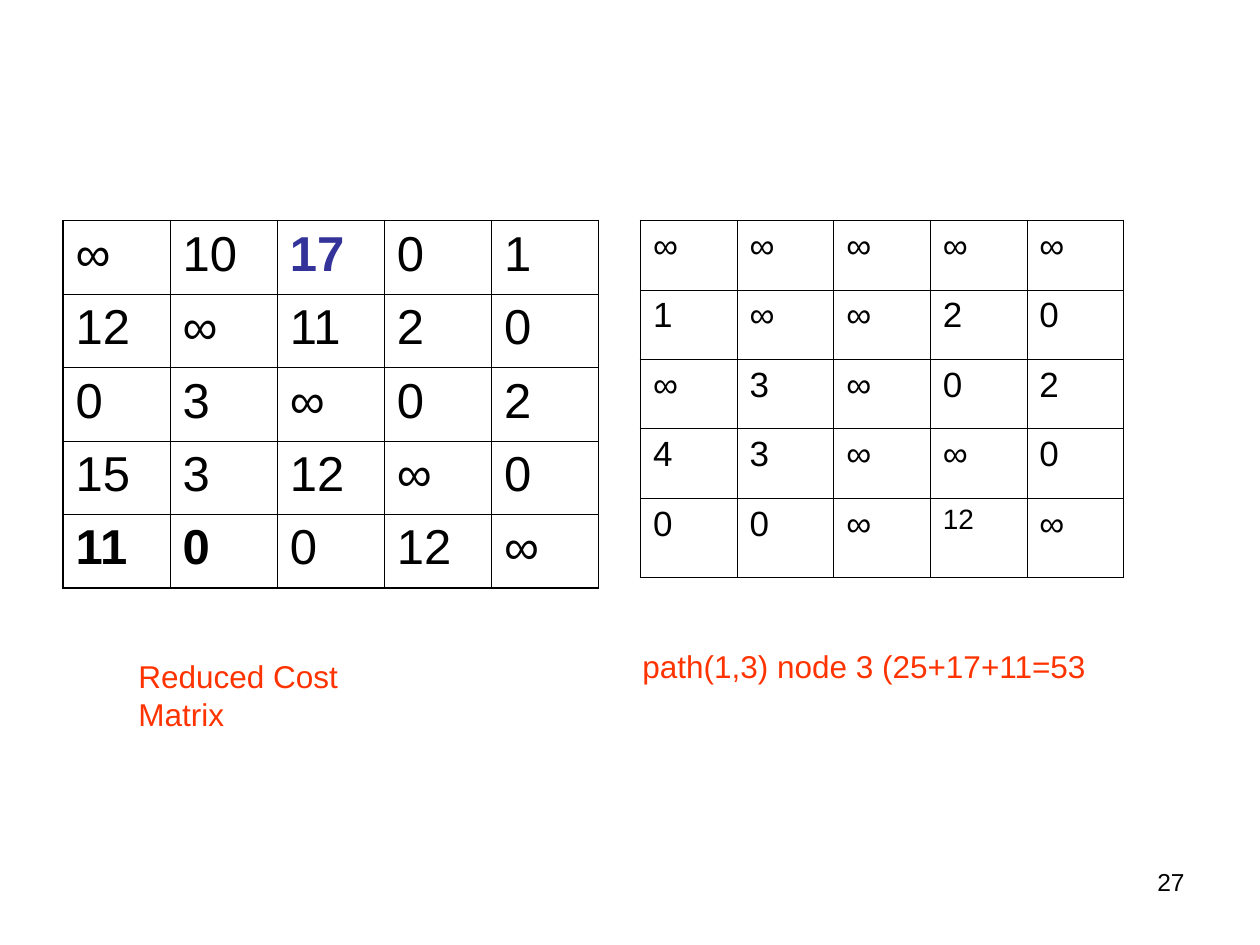
"""Build a slide with a reduced cost matrix beside the matrix for path (1,3)."""
from dataclasses import dataclass, field

from lxml.etree import SubElement
from pptx import Presentation
from pptx.dml.color import RGBColor as Rgb
from pptx.enum.text import MSO_AUTO_SIZE as AutoSize, PP_ALIGN as Align
from pptx.oxml.ns import qn
from pptx.slide import Slide
from pptx.util import Pt

COLORS = {"ink": "000000", "chosen": "333399", "caption": "FF3300"}
FONT = "Arial"
INNER_LINE, OUTER_LINE = 0.45, 1.08


@dataclass
class CellStyle:
    size: float
    bold: bool = False
    color: str = "ink"


@dataclass
class Matrix:
    left: float
    top: float
    column_width: float
    row_heights: list[float]
    rows: list[str]
    style: CellStyle
    special: dict[tuple[int, int], CellStyle] = field(default_factory=dict)


@dataclass
class Label:
    text: str
    left: float
    top: float
    width: float
    height: float
    size: float
    color: str
    align: Align = Align.LEFT
    wrap: bool = False


MATRICES = [
    Matrix(36, 126, 61.2, [42] * 5,
           ["∞ 10 17 0 1", "12 ∞ 11 2 0", "0 3 ∞ 0 2", "15 3 12 ∞ 0", "11 0 0 12 ∞"],
           CellStyle(28),
           {(0, 2): CellStyle(28, True, "chosen"),
            (4, 0): CellStyle(28, True),
            (4, 1): CellStyle(28, True)}),
    Matrix(366, 126, 55.2, [39.7] * 4 + [45.2],
           ["∞ ∞ ∞ ∞ ∞", "1 ∞ ∞ 2 0", "∞ 3 ∞ 0 2", "4 3 ∞ ∞ 0", "0 0 ∞ 12 ∞"],
           CellStyle(20),
           {(4, 3): CellStyle(16)}),
]
LABELS = [
    Label("Reduced Cost Matrix", 72, 372, 182, 29, 18, "caption"),
    Label("path(1,3) node 3 (25+17+11=53", 360, 366, 269, 29, 18, "caption"),
    Label("27", 516, 492, 168, 37.5, 14, "ink", Align.RIGHT, True),
]


def format_paragraph(para, size: float, color: str, bold: bool = False) -> None:
    """Set the font of a whole paragraph."""
    para.font.name = FONT
    para.font.size = Pt(size)
    para.font.bold = bold
    para.font.color.rgb = Rgb.from_string(COLORS[color])


def add_borders(cell, outer_edges: dict[str, bool]) -> None:
    """Draw the four cell borders, heavier where the edge is on the outside."""
    properties = cell._tc.get_or_add_tcPr()
    for edge, is_outer in outer_edges.items():
        width = Pt(OUTER_LINE if is_outer else INNER_LINE)
        line = SubElement(properties, qn(f"a:ln{edge}"), w=str(width))
        fill = SubElement(line, qn("a:solidFill"))
        SubElement(fill, qn("a:srgbClr"), val=COLORS["ink"])


def add_matrix(slide: Slide, matrix: Matrix) -> None:
    """Add one cost matrix as a table."""
    values = [row.split() for row in matrix.rows]
    row_count, column_count = len(values), len(values[0])
    table = slide.shapes.add_table(
        row_count, column_count, Pt(matrix.left), Pt(matrix.top),
        Pt(matrix.column_width * column_count), Pt(sum(matrix.row_heights))).table
    table.first_row = table.horz_banding = False
    for column in table.columns:
        column.width = Pt(matrix.column_width)
    for row_index, row_values in enumerate(values):
        table.rows[row_index].height = Pt(matrix.row_heights[row_index])
        for column_index, value in enumerate(row_values):
            cell = table.cell(row_index, column_index)
            cell.text = value
            style = matrix.special.get((row_index, column_index), matrix.style)
            format_paragraph(cell.text_frame.paragraphs[0], style.size, style.color, style.bold)
            add_borders(cell, {"L": column_index == 0, "R": column_index == column_count - 1,
                               "T": row_index == 0, "B": row_index == row_count - 1})
            cell.fill.background()


def add_label(slide: Slide, label: Label) -> None:
    """Add one line of text in its own box."""
    box = slide.shapes.add_textbox(
        Pt(label.left), Pt(label.top), Pt(label.width), Pt(label.height))
    frame = box.text_frame
    frame.word_wrap = label.wrap
    frame.auto_size = AutoSize.NONE if label.wrap else AutoSize.SHAPE_TO_FIT_TEXT
    para = frame.paragraphs[0]
    para.text = label.text
    para.alignment = label.align
    format_paragraph(para, label.size, label.color)


def main() -> None:
    """Build and save the deck."""
    deck = Presentation()
    deck.slide_width, deck.slide_height = Pt(720), Pt(540)
    slide = deck.slides.add_slide(deck.slide_layouts.get_by_name("Blank"))
    for matrix in MATRICES:
        add_matrix(slide, matrix)
    for label in LABELS:
        add_label(slide, label)
    deck.save("out.pptx")


if __name__ == "__main__":
    main()
